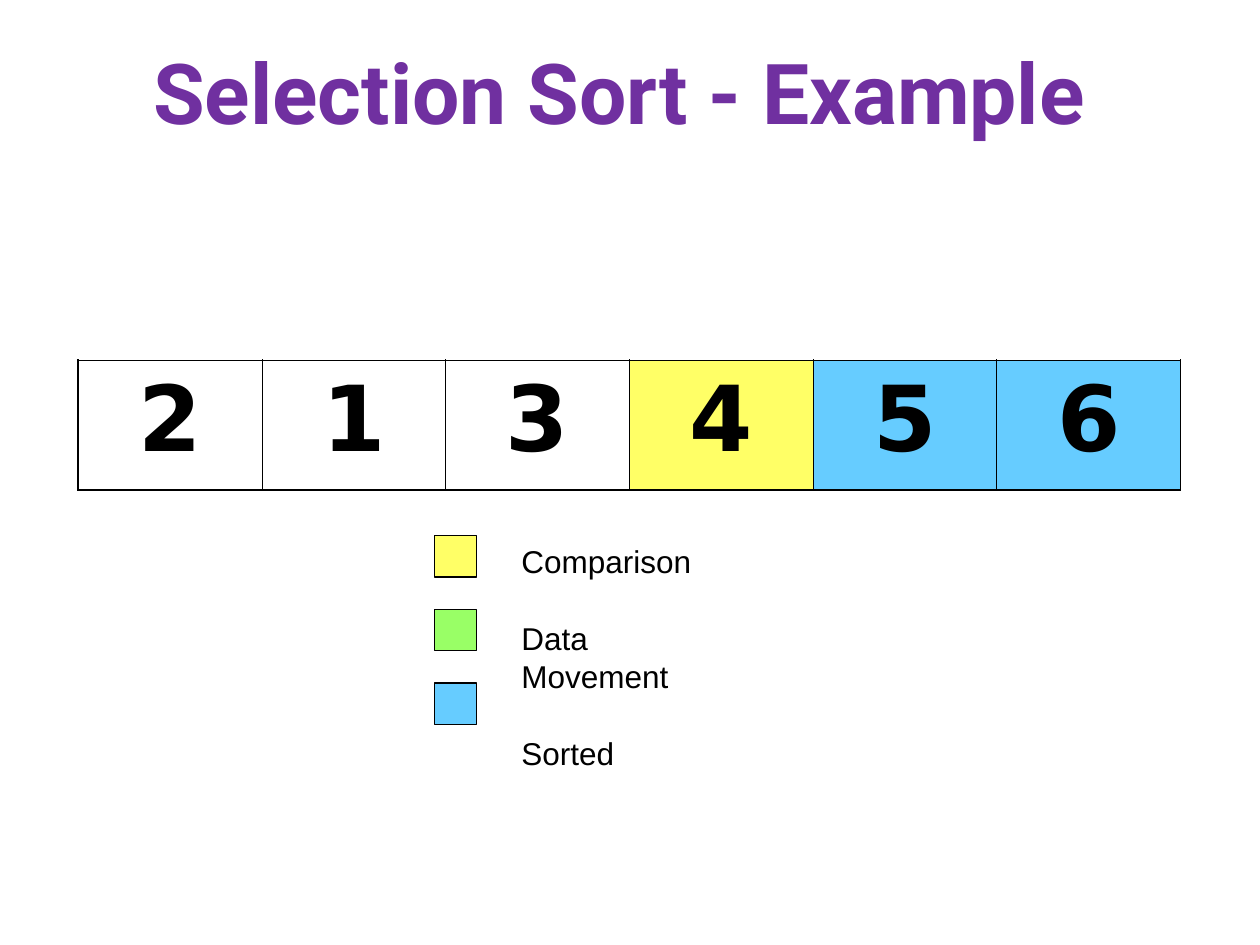
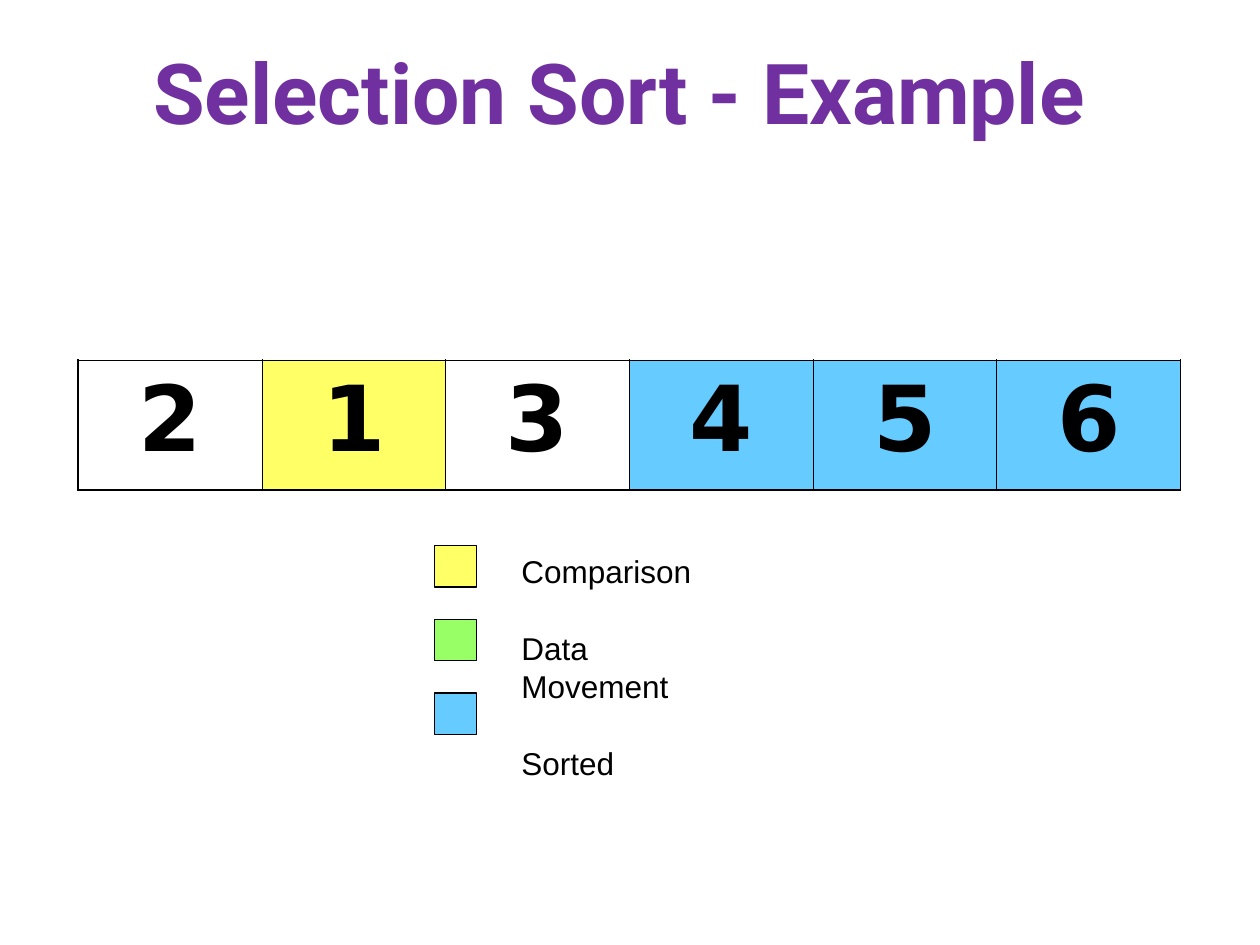
from dataclasses import dataclass

from lxml import etree
from pptx import Presentation
from pptx.dml.color import RGBColor
from pptx.enum.shapes import MSO_SHAPE
from pptx.enum.text import MSO_ANCHOR, MSO_AUTO_SIZE, PP_ALIGN
from pptx.oxml.ns import qn
from pptx.util import Inches, Pt

RECT = MSO_SHAPE.RECTANGLE
LEFT, CENTER = PP_ALIGN.LEFT, PP_ALIGN.CENTER
TOP, MIDDLE = MSO_ANCHOR.TOP, MSO_ANCHOR.MIDDLE
FIT_SHAPE = MSO_AUTO_SIZE.SHAPE_TO_FIT_TEXT


@dataclass(frozen=True)
class Theme:
    title: str = "7030A0"
    ink: str = "000000"
    comparison: str = "FFFF66"
    movement: str = "99FF66"
    sorted: str = "66CCFF"
    title_font: str = "Roboto"
    digit_font: str = "DejaVu Sans"
    label_font: str = "Arial"
    title_size: float = 48
    digit_size: float = 52
    label_size: float = 18
    label_gap: float = 22.5
    outer_line: float = 1.08
    inner_line: float = 0.45
    swatch_line: float = 0.75


THEME = Theme()
TITLE = "Selection Sort - Example "
VALUES = [2, 1, 3, 4, 5, 6]
LEGEND = [
    ("Comparison", THEME.comparison),
    ("Data Movement", THEME.movement),
    ("Sorted", THEME.sorted),
]
TITLE_BOX = (0.25, 0.2, 9.5, 1.05)
ARRAY_BOX = (0.62, 2.86, 8.75, 1.03)
LEGEND_LEFT = 3.45

# Each step: value being compared, sorted values, top of the legend
STEPS = [
    (4, {5, 6}, 4.25),
    (1, {4, 5, 6}, 4.33),
]


def write_text(tf, lines, *, font, size, color=THEME.ink, bold=False,
               align=LEFT, gap=0):
    """Fill a text frame with one paragraph per line, gap points apart."""
    for i, line in enumerate(lines):
        p = tf.paragraphs[0] if i == 0 else tf.add_paragraph()
        p.alignment = align
        if i:
            p.space_before = Pt(gap)
        r = p.add_run()
        r.text = line
        r.font.name = font
        r.font.size = Pt(size)
        r.font.bold = bold
        r.font.color.rgb = RGBColor.from_string(color)


def add_title(s, box):
    tf = s.shapes.add_textbox(*map(Inches, box)).text_frame
    tf.word_wrap = True
    tf.vertical_anchor = MIDDLE
    write_text(tf, [TITLE], font=THEME.title_font, size=THEME.title_size,
               color=THEME.title, bold=True, align=CENTER)


def set_borders(cell, **widths):
    """Draw the sides L, R, T and B of a cell, with widths in points."""
    tc_pr = cell._tc.get_or_add_tcPr()
    for i, side in enumerate("LRTB"):
        ln = etree.Element(qn(f"a:ln{side}"), w=str(Pt(widths[side])))
        fill = etree.SubElement(ln, qn("a:solidFill"))
        etree.SubElement(fill, qn("a:srgbClr"), val=THEME.ink)
        tc_pr.insert(i, ln)


def add_array(s, box, compared, done):
    left, top, width, height = map(Inches, box)
    table = s.shapes.add_table(1, len(VALUES), left, top, width, height).table
    table.first_row = table.horz_banding = False
    last = len(VALUES) - 1
    for i, value in enumerate(VALUES):
        table.columns[i].width = width // len(VALUES)
        cell = table.cell(0, i)
        cell.vertical_anchor = TOP
        write_text(cell.text_frame, [str(value)], font=THEME.digit_font,
                   size=THEME.digit_size, bold=True, align=CENTER)
        if value == compared or value in done:
            color = THEME.sorted if value in done else THEME.comparison
            cell.fill.solid()
            cell.fill.fore_color.rgb = RGBColor.from_string(color)
        else:
            cell.fill.background()
        set_borders(cell, T=THEME.outer_line, B=THEME.outer_line,
                    L=THEME.outer_line if i == 0 else THEME.inner_line,
                    R=THEME.outer_line if i == last else THEME.inner_line)


def add_legend(s, left, top):
    swatch, pitch = 0.33, 0.585
    for i, (_, color) in enumerate(LEGEND):
        sp = s.shapes.add_shape(RECT, Inches(left), Inches(top + i * pitch),
                                Inches(swatch), Inches(swatch))
        sp.shadow.inherit = False
        sp.fill.solid()
        sp.fill.fore_color.rgb = RGBColor.from_string(color)
        sp.line.color.rgb = RGBColor.from_string(THEME.ink)
        sp.line.width = Pt(THEME.swatch_line)
    tf = s.shapes.add_textbox(Inches(left + 0.59), Inches(top),
                              Inches(1.96), Inches(1.6)).text_frame
    tf.word_wrap = False
    tf.auto_size = FIT_SHAPE
    write_text(tf, [label for label, _ in LEGEND], font=THEME.label_font,
               size=THEME.label_size, gap=THEME.label_gap)


def add_step_slide(prs, compared, done, legend_top):
    s = prs.slides.add_slide(prs.slide_layouts[6])
    add_array(s, ARRAY_BOX, compared, done)
    add_legend(s, LEGEND_LEFT, legend_top)
    add_title(s, TITLE_BOX)


def main():
    prs = Presentation()
    prs.slide_width, prs.slide_height = Inches(10), Inches(7.5)
    for step in STEPS:
        add_step_slide(prs, *step)
    prs.save("out.pptx")


if __name__ == "__main__":
    main()
